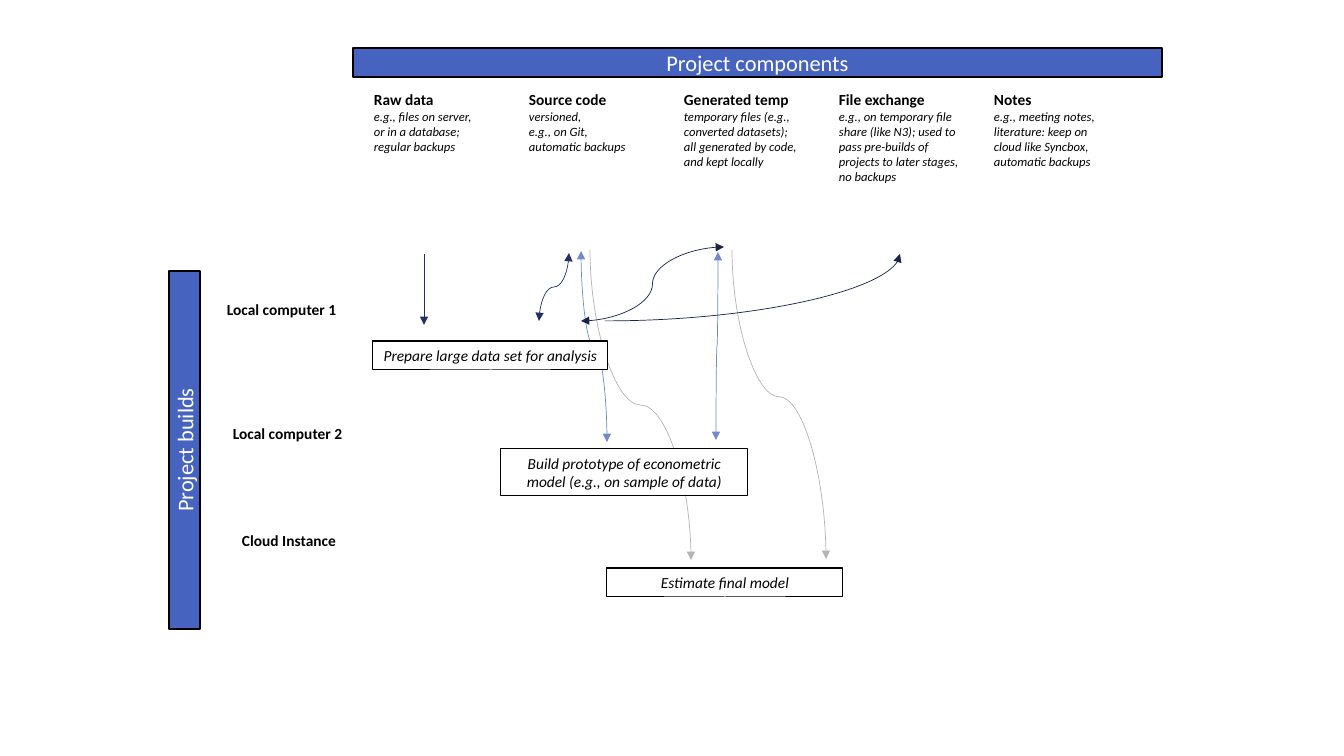
from lxml import etree
from pptx import Presentation
from pptx.dml.color import RGBColor
from pptx.enum.shapes import MSO_CONNECTOR, MSO_SHAPE
from pptx.enum.text import MSO_ANCHOR, MSO_AUTO_SIZE, PP_ALIGN
from pptx.oxml.ns import qn
from pptx.util import Emu, Pt

PX = 914400 / 100.8
FONT = "Calibri"
RECTANGLE = MSO_SHAPE.RECTANGLE
STRAIGHT, CURVE = MSO_CONNECTOR.STRAIGHT, MSO_CONNECTOR.CURVE
CENTER, LEFT = PP_ALIGN.CENTER, PP_ALIGN.LEFT
TOP, MIDDLE = MSO_ANCHOR.TOP, MSO_ANCHOR.MIDDLE
FIXED = MSO_AUTO_SIZE.NONE

BLACK, WHITE, BAR = "000000", "FFFFFF", "4563BF"
NAVY, DARK, BLUE, GREY = "213161", "192446", "7289CC", "B5B5B5"

COLUMN_LEFT, COLUMN_TOP, COLUMN_PITCH = 364, 85, 155
# Heading, detail, width, height, wrapped
COMPONENTS = [
    ("Raw data", "e.g., files on server,\vor in a database;\vregular backups", 120, 75, False),
    ("Source code", "versioned,\ve.g., on Git,\vautomatic backups", 121, 75, False),
    ("Generated temp", "temporary files (e.g.,\vconverted datasets);\v"
     "all generated by code,\vand kept locally", 134, 90, False),
    ("File exchange", "e.g., on temporary file\vshare (like N3); used to\vpass pre-builds of\v"
     "projects to later stages,\vno backups", 141, 105, False),
    ("Notes", "e.g., meeting notes, literature: keep on cloud like Syncbox,\vautomatic backups",
     121, 90, True),
]
BUILDS = [
    ("Local computer 1", 217, 295, 131),
    ("Local computer 2", 223, 419, 131),
    ("Cloud Instance", 232, 526, 115),
]
# Text, left, top, width, height, wrapped
STAGES = [
    ("Prepare large data set for analysis", 373, 341, 235, 29, False),
    ("Build prototype of econometric model (e.g., on sample of data)", 501, 449, 247, 47, True),
    ("Estimate final model", 607, 568, 236, 29, True),
]
# Start, end, colour, arrowhead at both ends, bend position
VERTICAL_FLOWS = [
    ((590, 250), (691, 560), GREY, False, 50000),
    ((569, 253), (539, 321), NAVY, True, 50000),
    ((718, 252), (716, 440), BLUE, True, 50000),
    ((581, 251), (607, 442), BLUE, True, 50000),
    ((732, 250), (826, 559), GREY, False, 47500),
]


def px(value):
    return Emu(round(value * PX))


def color(hex_text):
    return RGBColor.from_string(hex_text)


def style_paragraph(para, size, hex_text, bold=False, italic=False, align=LEFT):
    para.alignment = align
    font = para.font
    font.name, font.size = FONT, Pt(size)
    font.bold, font.italic = bold, italic
    font.color.rgb = color(hex_text)


def paint(shape, fill, line=None, width=0.75):
    shape.fill.solid()
    shape.fill.fore_color.rgb = color(fill)
    if line:
        shape.line.color.rgb = color(line)
        shape.line.width = Pt(width)
    else:
        shape.line.fill.background()


def add_box(page, left, top, width, height, wrap=False, line=None):
    box = page.shapes.add_shape(RECTANGLE, px(left), px(top), px(width), px(height))
    box.shadow.inherit = False
    paint(box, WHITE, line)
    frame = box.text_frame
    frame.word_wrap = wrap
    frame.vertical_anchor = TOP
    return box


def format_bar(bar, text):
    paint(bar, BAR, BLACK, 1)
    frame = bar.text_frame
    frame.text = text
    frame.auto_size = FIXED
    frame.vertical_anchor = MIDDLE
    style_paragraph(frame.paragraphs[0], 16, WHITE, align=CENTER)


def add_component(page, left, heading, detail, width, height, wrap):
    frame = add_box(page, left, COLUMN_TOP, width, height, wrap).text_frame
    frame.text = heading
    style_paragraph(frame.paragraphs[0], 11, BLACK, bold=True)
    para = frame.add_paragraph()
    para.text = detail
    style_paragraph(para, 9, BLACK, italic=True)


def add_build(page, text, left, top, width):
    frame = add_box(page, left, top, width, 29).text_frame
    frame.text = text
    style_paragraph(frame.paragraphs[0], 11, BLACK, bold=True)


def add_stage(page, text, left, top, width, height, wrap):
    frame = add_box(page, left, top, width, height, wrap, BLACK).text_frame
    frame.text = text
    style_paragraph(frame.paragraphs[0], 11, BLACK, italic=True, align=CENTER)


def add_arrow(page, kind, start, end, hex_text, both=False):
    arrow = page.shapes.add_connector(kind, *(px(value) for value in start + end))
    arrow.line.color.rgb = color(hex_text)
    arrow.line.width = Pt(0.5)
    properties = arrow.element.spPr
    outline = properties.find(qn("a:ln"))
    for tag in ("a:headEnd", "a:tailEnd") if both else ("a:tailEnd",):
        etree.SubElement(outline, qn(tag), type="triangle")
    etree.SubElement(properties, qn("a:effectLst"))
    return arrow


def add_vertical_curve(page, start, end, hex_text, both, bend):
    """Lay the S-curve on its side about its centre, then turn it upright."""
    (x1, y1), (x2, y2) = start, end
    side = 1 if x2 > x1 else -1
    middle_x, middle_y = (x1 + x2) / 2, (y1 + y2) / 2
    half_x, half_y = side * (y2 - y1) / 2, side * (x2 - x1) / 2
    arrow = add_arrow(page, CURVE, (middle_x + half_x, middle_y - half_y),
                      (middle_x - half_x, middle_y + half_y), hex_text, both)
    properties = arrow.element.spPr
    properties.find(qn("a:xfrm")).set("rot", str((180 + 90 * side) * 60000))
    guides = properties.find(qn("a:prstGeom")).find(qn("a:avLst"))
    etree.SubElement(guides, qn("a:gd"), name="adj1", fmla=f"val {bend}")


def main():
    deck = Presentation()
    deck.slide_width, deck.slide_height = px(1344), px(756)
    page = deck.slides.add_slide(deck.slide_layouts[5])

    # Header bar across the components
    title = page.shapes.title
    title.left, title.top, title.width, title.height = px(353), px(48), px(809), px(29)
    format_bar(title, "Project components")

    # Side bar along the builds
    side_bar = add_box(page, 169, 271, 31, 358, True)
    format_bar(side_bar, "Project builds")
    side_bar.text_frame._txBody.bodyPr.set("vert", "vert270")

    # Component columns and build rows
    for index, component in enumerate(COMPONENTS):
        add_component(page, COLUMN_LEFT + index * COLUMN_PITCH, *component)
    for build in BUILDS:
        add_build(page, *build)

    # Flows between components and stages
    for flow in VERTICAL_FLOWS:
        add_vertical_curve(page, *flow)
    add_arrow(page, STRAIGHT, (424, 254), (424, 325), NAVY)
    add_arrow(page, CURVE, (581, 321), (724, 247), DARK, both=True)
    exchange = add_arrow(page, CURVE, (605, 321), (900, 254), DARK)
    exchange.element.spPr.find(qn("a:prstGeom")).set("prst", "curvedConnector2")

    # Stage boxes cover the flows behind them
    for stage in STAGES:
        add_stage(page, *stage)

    deck.save("out.pptx")


if __name__ == "__main__":
    main()
